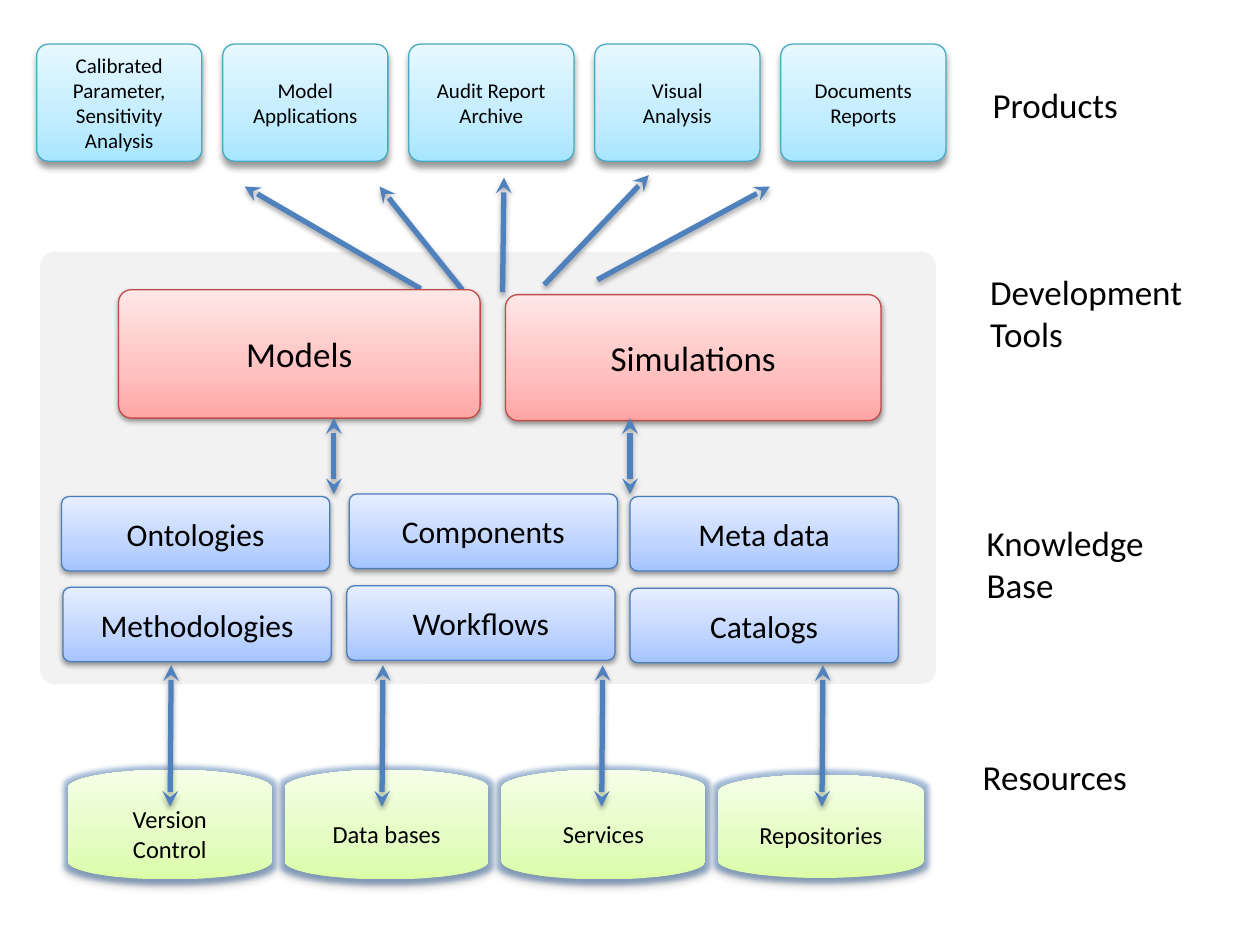
from lxml import etree
from pptx import Presentation
from pptx.dml.color import RGBColor
from pptx.enum.shapes import MSO_CONNECTOR, MSO_SHAPE
from pptx.enum.text import MSO_ANCHOR, PP_ALIGN
from pptx.oxml.ns import qn
from pptx.util import Cm, Pt

ROUND_RECT = MSO_SHAPE.ROUNDED_RECTANGLE
DISK = MSO_SHAPE.FLOWCHART_MAGNETIC_DISK
STRAIGHT = MSO_CONNECTOR.STRAIGHT
CENTER = PP_ALIGN.CENTER
MIDDLE = MSO_ANCHOR.MIDDLE

COLORS = {
    "panel": "F2F2F2", "text": "000000", "shadow": "000000",
    "arrow": "4F81BD", "glow": "4F81BD",
    "product_line": "46AAC5", "tool_line": "BF4C48", "knowledge_line": "4B7EBC",
}
GRADIENTS = {
    "product": ("A7E6FF", "C1EDFF", "E7F8FF"),
    "tool": ("FFA6A5", "FFC0BF", "FFE7E7"),
    "knowledge": ("A4C4FF", "BFD4FF", "E6EEFF"),
    "resource": ("DAFDA7", "E4FCC2", "F5FFE7"),
}
STOPS = (0, 35, 100)
SHADOWS = {
    "product": (40, 4, 3), "tool": (38, 3.1, 1.6), "knowledge": (38, 3.1, 1.6),
    "resource": (32, 3.5, 2.2), "arrow": (35, 3.1, 1.8),
}
SIZES = {"product": 12, "tool": 20, "knowledge": 18, "resource": 14, "label": 20}


def add_child(parent, tag, **attrs):
    el = etree.SubElement(parent, qn(tag))
    for name, value in attrs.items():
        el.set(name, str(value))
    return el


def add_color(parent, color, alpha=100):
    el = add_child(parent, "a:srgbClr", val=color)
    if alpha < 100:
        add_child(el, "a:alpha", val=alpha * 1000)


class Diagram:
    font = "Calibri"

    def __init__(self, slide):
        self.s = slide

    def effects(self, spPr, kind):
        lst = spPr.find(qn("a:effectLst"))
        if lst is None:
            lst = add_child(spPr, "a:effectLst")
        if kind == "resource":
            add_color(add_child(lst, "a:glow", rad=Pt(5)), COLORS["glow"], 45)
        alpha, blur, dist = SHADOWS[kind]
        shadow = add_child(lst, "a:outerShdw", blurRad=Pt(blur), dist=Pt(dist),
                           dir=5400000, rotWithShape=0)
        add_color(shadow, COLORS["shadow"], alpha)

    def put_text(self, sp, paragraphs, kind, align=None):
        tf = sp.text_frame
        tf.margin_left = tf.margin_right = Cm(0.43)
        tf.margin_top = tf.margin_bottom = Cm(0.23)
        for i, text in enumerate(paragraphs):
            p = tf.add_paragraph() if i else tf.paragraphs[0]
            p.alignment = align
            for j, line in enumerate(text.split("\n")):
                if j:
                    p.add_line_break()
                r = p.add_run()
                r.text = line
                r.font.name = self.font
                r.font.size = Pt(SIZES[kind])
                r.font.color.rgb = RGBColor.from_string(COLORS["text"])
        return tf

    def shape(self, preset, x, y, w, h, radius=None):
        sp = self.s.shapes.add_shape(preset, Cm(x), Cm(y), Cm(w), Cm(h))
        sp.shadow.inherit = False
        if radius is not None:
            sp.adjustments[0] = radius
        return sp

    def panel(self, x, y, w, h):
        sp = self.shape(ROUND_RECT, x, y, w, h, 0.033)
        sp.fill.solid()
        sp.fill.fore_color.rgb = RGBColor.from_string(COLORS["panel"])
        sp.line.fill.background()

    def node(self, kind, x, y, w, h, *paragraphs):
        if kind == "resource":
            sp = self.shape(DISK, x, y, w, h)
            sp.line.fill.background()
        else:
            sp = self.shape(ROUND_RECT, x, y, w, h, 0.1)
            sp.line.color.rgb = RGBColor.from_string(COLORS[kind + "_line"])
            sp.line.width = Pt(0.75)
        sp.fill.gradient()
        sp.fill.gradient_angle = 90
        spPr = sp._element.spPr
        stops = spPr.find(qn("a:gradFill")).find(qn("a:gsLst"))
        for stop in list(stops):
            stops.remove(stop)
        for pos, color in zip(STOPS, GRADIENTS[kind]):
            add_color(add_child(stops, "a:gs", pos=pos * 1000), color)
        self.effects(spPr, kind)
        tf = self.put_text(sp, paragraphs, kind, CENTER)
        tf.word_wrap = True
        tf.vertical_anchor = MIDDLE

    def label(self, x, y, w, h, *paragraphs):
        sp = self.s.shapes.add_textbox(Cm(x), Cm(y), Cm(w), Cm(h))
        self.put_text(sp, paragraphs, "label").word_wrap = False

    def arrow(self, x1, y1, x2, y2, both=False):
        cx = self.s.shapes.add_connector(STRAIGHT, Cm(x1), Cm(y1), Cm(x2), Cm(y2))
        cx.line.color.rgb = RGBColor.from_string(COLORS["arrow"])
        cx.line.width = Pt(3)
        spPr = cx._element.spPr
        ln = spPr.find(qn("a:ln"))
        add_child(ln, "a:headEnd", type="stealth")
        if both:
            add_child(ln, "a:tailEnd", type="stealth")
        self.effects(spPr, "arrow")


def main():
    prs = Presentation()
    prs.slide_width, prs.slide_height = Cm(25.4), Cm(19.05)
    d = Diagram(prs.slides.add_slide(prs.slide_layouts[6]))

    d.panel(0.81, 5.08, 18.06, 8.71)

    resources = ("Version\nControl", "Data bases", "Services")
    for i, name in enumerate(resources):
        d.node("resource", 1.37 + 4.37 * i, 15.52, 4.11, 2.21, name)
    d.node("resource", 14.48, 15.62, 4.14, 2.08, "Repositories")

    products = (
        ("Calibrated Parameter,", "Sensitivity Analysis"),
        ("Model", "Applications"),
        ("Audit Report", "Archive"),
        ("Visual", "Analysis"),
        ("Documents", "Reports"),
    )
    for i, lines in enumerate(products):
        d.node("product", 0.74 + 3.75 * i, 0.89, 3.33, 2.36, *lines)

    for ends in (
        (4.93, 3.76, 8.48, 5.82),
        (7.65, 3.76, 9.32, 5.84),
        (10.16, 3.58, 10.13, 5.89),
        (13.08, 3.53, 10.97, 5.74),
        (15.52, 3.76, 12.04, 5.64),
    ):
        d.arrow(*ends)

    d.node("tool", 2.39, 5.84, 7.29, 2.59, "Models")
    d.node("tool", 10.19, 5.94, 7.57, 2.54, "Simulations")

    for x, y, name in (
        (1.24, 10.01, "Ontologies"),
        (1.27, 11.84, "Methodologies"),
        (6.99, 11.81, "Workflows"),
        (7.04, 9.96, "Components"),
        (12.7, 10.01, "Meta data"),
        (12.7, 11.86, "Catalogs"),
    ):
        d.node("knowledge", x, y, 5.41, 1.5, name)

    for x in (6.73, 12.7):
        d.arrow(x, 8.43, x, 9.96, both=True)
    for x in (3.45, 7.72, 12.15, 16.59):
        d.arrow(x, 13.41, x - 0.02, 16.26, both=True)

    d.label(19.58, 1.45, 3.45, 1.3, "Products")
    d.label(19.53, 5.23, 4.8, 2.16, "Development", "Tools")
    d.label(19.46, 10.29, 4.09, 2.16, "Knowledge", "Base")
    d.label(19.38, 15.01, 3.84, 1.3, "Resources")

    prs.save("out.pptx")


if __name__ == "__main__":
    main()
